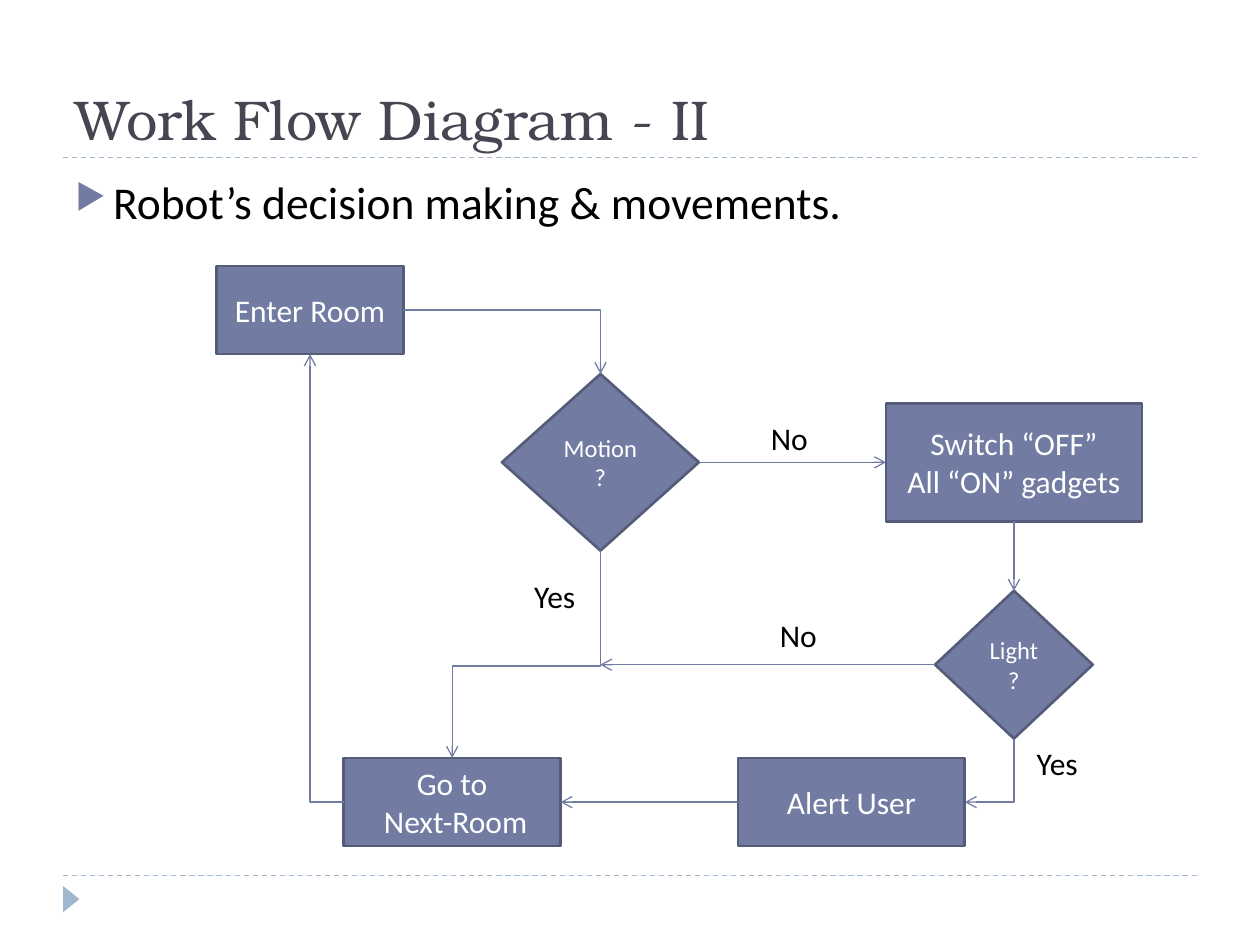
"""Build the robot work flow diagram slide."""
from lxml import etree
from pptx import Presentation
from pptx import util as u
from pptx.dml.color import RGBColor
from pptx.enum import dml, shapes, text
from pptx.oxml.ns import qn

INDIGO = RGBColor(0x72, 0x7C, 0xA3)
OUTLINE = RGBColor(0x54, 0x5C, 0x79)
SKY = RGBColor(0x9F, 0xB8, 0xCD)
SLATE = RGBColor(0x46, 0x46, 0x53)
BLACK = RGBColor(0, 0, 0)
WHITE = RGBColor(255, 255, 255)
TOP, LEFT, BOTTOM, RIGHT = range(4)
STRAIGHT = shapes.MSO_CONNECTOR.STRAIGHT
ELBOW = shapes.MSO_CONNECTOR.ELBOW


def write(box, lines, size, color, font="Calibri", align=text.PP_ALIGN.LEFT, **frame):
    for name, value in frame.items():
        setattr(box.text_frame, name, value)
    for index, line in enumerate(lines):
        para = box.text_frame.paragraphs[0] if index == 0 else box.text_frame.add_paragraph()
        para.alignment = align
        span = para.add_run()
        span.text = line
        style = {"name": font, "size": u.Pt(size)}
        for name, value in style.items():
            setattr(span.font, name, value)
        span.font.color.rgb = color


def draw_line(kind, start, end, color):
    line = page.shapes.add_connector(kind, *map(u.Cm, start + end))
    line.line.color.rgb = color
    line.line.width = u.Pt(0.75)
    etree.SubElement(line._element.spPr, qn("a:effectLst"))
    return line


deck = Presentation()
deck.slide_width, deck.slide_height = u.Cm(25.4), u.Cm(19.05)
page = deck.slides.add_slide(deck.slide_layouts[6])

for y in (17.65, 3.18):
    rule = draw_line(STRAIGHT, (1.27, y), (24.13, y), SKY)
    rule.line.dash_style = dml.MSO_LINE.DASH

marker = page.shapes.add_shape(
    shapes.MSO_SHAPE.ISOSCELES_TRIANGLE, *map(u.Cm, (1.17, 17.96, 0.53, 0.33)))
marker.rotation = 90
marker.shadow.inherit = False
marker.fill.solid()
marker.fill.fore_color.rgb = SKY
marker.line.fill.background()

title = page.shapes.add_textbox(*map(u.Cm, (1.27, 0.43, 22.86, 2.75)))
write(title, ["Work Flow Diagram - II"], 32, SLATE, "TeX Gyre Bonum",
      word_wrap=True, vertical_anchor=text.MSO_ANCHOR.BOTTOM)

body = page.shapes.add_textbox(*map(u.Cm, (1.27, 3.38, 22.86, 13.72)))
write(body, ["Robot’s decision making & movements."], 26, BLACK, word_wrap=True)
bullet = body.text_frame.paragraphs[0]
bullet.space_before = u.Pt(6)
props = bullet._p.get_or_add_pPr()
props.set("marL", str(u.Cm(0.76)))
props.set("indent", str(u.Cm(-0.76)))
bullet_color = etree.SubElement(props, qn("a:buClr"))
etree.SubElement(bullet_color, qn("a:srgbClr"), val=str(INDIGO))
etree.SubElement(props, qn("a:buSzPct"), val="76000")
etree.SubElement(props, qn("a:buChar"), char="▶")

RECT, DIAMOND = shapes.MSO_SHAPE.RECTANGLE, shapes.MSO_SHAPE.DIAMOND
steps = {
    "enter": (RECT, (4.37, 5.36, 3.76, 1.78), ["Enter Room"], 18),
    "motion": (DIAMOND, (10.12, 7.54, 3.97, 3.56), ["Motion?"], 14),
    "next": (RECT, (6.93, 15.28, 4.37, 1.78), ["Go to", " Next-Room"], 18),
    "switch": (RECT, (17.86, 8.13, 5.16, 2.38), ["Switch “OFF”", "All “ON” gadgets"], 18),
    "light": (DIAMOND, (18.85, 11.91, 3.18, 2.98), ["Light?"], 14),
    "alert": (RECT, (14.88, 15.28, 4.57, 1.78), ["Alert User"], 18),
}
nodes = {}
for name, (kind, place, lines, size) in steps.items():
    node = page.shapes.add_shape(kind, *map(u.Cm, place))
    node.shadow.inherit = False
    node.fill.solid()
    node.fill.fore_color.rgb = INDIGO
    node.line.color.rgb = OUTLINE
    node.line.width = u.Pt(1.5)
    write(node, lines, size, WHITE, align=text.PP_ALIGN.CENTER,
          word_wrap=True, vertical_anchor=text.MSO_ANCHOR.MIDDLE)
    nodes[name] = node

links = [
    ("enter", RIGHT, "motion", TOP, "bentConnector2", 0),
    ("motion", BOTTOM, "next", TOP, "bentConnector3", 90),
    ("motion", RIGHT, "switch", LEFT, None, 0),
    ("switch", BOTTOM, "light", TOP, None, 0),
    ("light", BOTTOM, "alert", RIGHT, "bentConnector2", 90),
    ("alert", LEFT, "next", RIGHT, None, 0),
    ("next", LEFT, "enter", BOTTOM, "bentConnector2", 180),
    ("light", LEFT, None, None, None, 0),
]
for source, exit_side, target, entry_side, bend, turn in links:
    link = draw_line(ELBOW if bend else STRAIGHT, (12.1, 13.4), (12.1, 13.4), INDIGO)
    link.begin_connect(nodes[source], exit_side)
    if target:
        link.end_connect(nodes[target], entry_side)
    etree.SubElement(link.line._get_or_add_ln(), qn("a:tailEnd"), type="arrow")
    if bend:
        center_x = (link.begin_x + link.end_x) // 2
        center_y = (link.begin_y + link.end_y) // 2
        width, height = link.width, link.height
        if turn == 90:
            width, height = height, width
        geometry = link._element.spPr.find(qn("a:prstGeom"))
        geometry.set("prst", bend)
        if bend == "bentConnector3":
            guides = geometry.find(qn("a:avLst"))
            etree.SubElement(guides, qn("a:gd"), name="adj1", fmla="val 55600")
        frame = link._element.spPr.find(qn("a:xfrm"))
        for flip in ("flipH", "flipV"):
            frame.attrib.pop(flip, None)
        frame.set("rot", str(turn * 60000))
        placement = {"left": center_x - width // 2, "top": center_y - height // 2,
                     "width": width, "height": height}
        for name, value in placement.items():
            setattr(link, name, value)

labels = [("Yes", 10.52, 11.51), ("No", 15.29, 8.33), ("No", 15.47, 12.29), ("Yes", 20.65, 14.88)]
for answer, x, y in labels:
    label = page.shapes.add_textbox(*map(u.Cm, (x, y, 1.37, 1.02)))
    write(label, [answer], 18, BLACK, word_wrap=False,
          auto_size=text.MSO_AUTO_SIZE.SHAPE_TO_FIT_TEXT)

deck.save("out.pptx")
